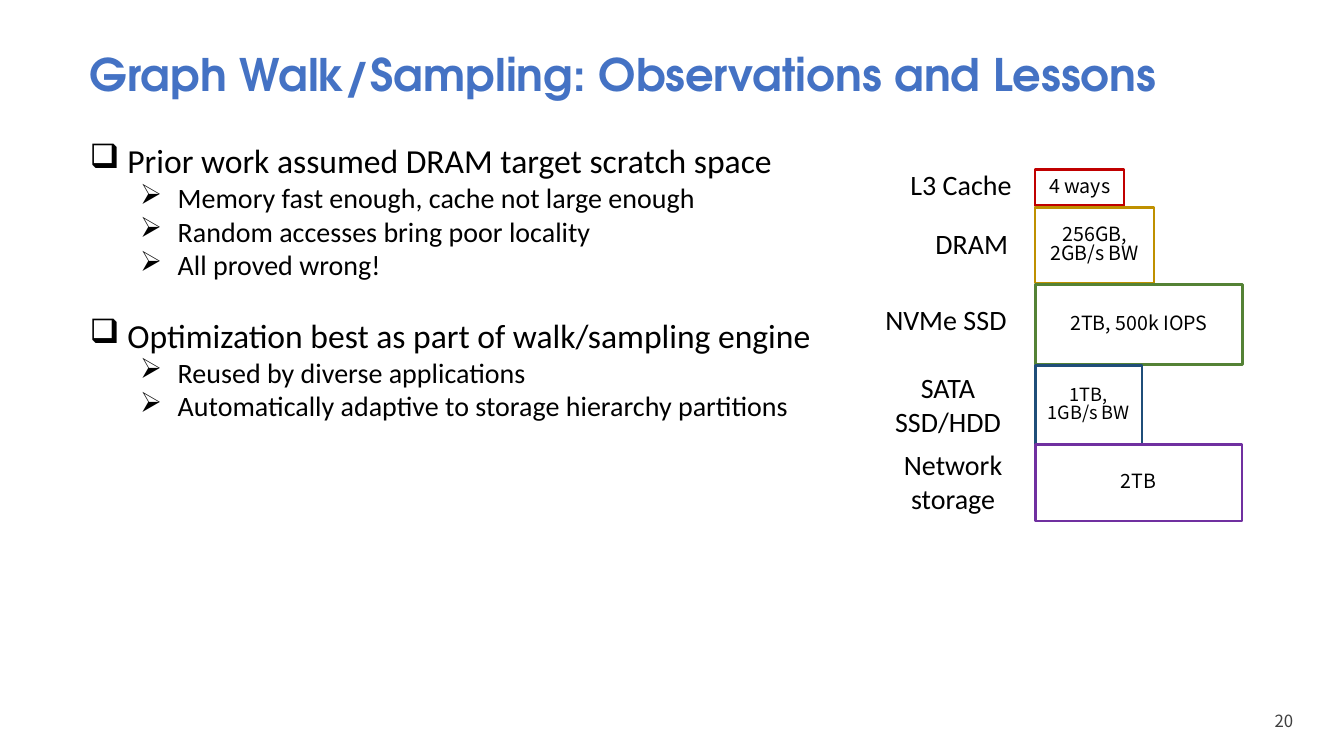
"""Build the slide on observations and lessons from graph walk and sampling."""
import dataclasses

import lxml.etree
import pptx
import pptx.dml.color
import pptx.enum.shapes
import pptx.enum.text
import pptx.oxml.ns
import pptx.util

Cm = pptx.util.Cm
Pt = pptx.util.Pt
Align = pptx.enum.text.PP_ALIGN
Anchor = pptx.enum.text.MSO_ANCHOR


@dataclasses.dataclass(frozen=True)
class Theme:
    title_font: str = "TeX Gyre Adventor"
    body_font: str = "Calibri"
    box_font: str = "Noto Sans CJK SC"
    title_color: str = "4472C4"
    text_color: str = "000000"
    number_color: str = "404040"
    fill_color: str = "FFFFFF"
    title_size: int = 32
    point_size: int = 24
    detail_size: int = 20
    number_size: int = 12
    box_line_spacing: float = 0.81


@dataclasses.dataclass(frozen=True)
class Area:
    left: float
    top: float
    width: float
    height: float

    def lengths(self) -> tuple:
        return tuple(map(Cm, (self.left, self.top, self.width, self.height)))


@dataclasses.dataclass(frozen=True)
class Point:
    text: str
    details: tuple


@dataclasses.dataclass(frozen=True)
class Tier:
    label: str
    label_area: Area
    capacity: str
    top: float
    width: float
    height: float
    color: str
    line_width: float = 2
    text_size: int = 14
    opacity: int = 72


THEME = Theme()
TIER_LEFT = 26.09
TITLE = "Graph Walk/Sampling: Observations and Lessons"
POINTS = (
    Point("Prior work assumed DRAM target scratch space", (
        "Memory fast enough, cache not large enough",
        "Random accesses bring poor locality",
        "All proved wrong!")),
    Point("Optimization best as part of walk/sampling engine", (
        "Reused by diverse applications",
        "Automatically adaptive to storage hierarchy partitions")),
)
TIERS = (
    Tier("L3 Cache", Area(22.2, 4.09, 4.04, 1.12), "4 ways",
         4.27, 2.24, 0.91, "C00000", line_width=1.75, opacity=61),
    Tier("DRAM", Area(22.89, 5.59, 3.2, 1.12), "256GB,\n2GB/s BW",
         5.23, 3, 1.9, "BF9000", line_width=1.75),
    Tier("NVMe SSD", Area(21.77, 7.49, 4.14, 1.12), "2TB, 500k IOPS",
         7.16, 5.23, 2.03, "548235"),
    Tier("SATA SSD/HDD", Area(21.82, 9.22, 4.14, 1.96), "1TB,\n1GB/s BW",
         9.22, 2.69, 1.98, "1F4E79", text_size=13),
    Tier("Network storage", Area(21.95, 11.15, 4.14, 1.96), "2TB",
         11.2, 5.21, 1.93, "7030A0"),
)


def rgb(color: str) -> pptx.dml.color.RGBColor:
    return pptx.dml.color.RGBColor.from_string(color)


def format_paragraph(para, font: str, size: float, color: str,
                     align: Align = Align.LEFT, bold: bool = False) -> None:
    para.alignment = align
    for span in para.runs:
        span.font.name = font
        span.font.size = Pt(size)
        span.font.color.rgb = rgb(color)
        span.font.bold = bold


def add_text_box(slide, area: Area, anchor: Anchor = Anchor.TOP):
    frame = slide.shapes.add_textbox(*area.lengths()).text_frame
    frame.word_wrap = True
    frame.vertical_anchor = anchor
    return frame


def add_title(slide) -> None:
    title = slide.shapes.title
    title.left, title.top, title.width, title.height = Area(2.01, 0.71, 29.21, 2.46).lengths()
    title.text_frame.text = TITLE
    title.text_frame.vertical_anchor = Anchor.MIDDLE
    para = title.text_frame.paragraphs[0]
    para.line_spacing = 0.9
    format_paragraph(para, THEME.title_font, THEME.title_size, THEME.title_color, bold=True)


def add_bulleted(frame, text: str, bullet: str, level: int, size: int, before: float = 0) -> None:
    para = frame.add_paragraph() if frame.text else frame.paragraphs[0]
    para.text = text
    para.level = level
    para.space_before = Pt(before)
    properties = para._p.get_or_add_pPr()
    properties.set("marL", str(Cm(0.95 + 1.27 * level)))
    properties.set("indent", str(Cm(-0.95)))
    mark = lxml.etree.SubElement(properties, pptx.oxml.ns.qn("a:buChar"))
    mark.set("char", bullet)
    format_paragraph(para, THEME.body_font, size, THEME.text_color)


def add_points(slide) -> None:
    frame = add_text_box(slide, Area(2.01, 3.41, 19.5, 7.6))
    for index, point in enumerate(POINTS):
        add_bulleted(frame, point.text, "❑", 0, THEME.point_size, 24 if index else 0)
        for detail in point.details:
            add_bulleted(frame, detail, "➢", 1, THEME.detail_size)


def add_tier(slide, tier: Tier) -> None:
    area = Area(TIER_LEFT, tier.top, tier.width, tier.height)
    box = slide.shapes.add_shape(pptx.enum.shapes.MSO_SHAPE.RECTANGLE, *area.lengths())
    box.shadow.inherit = False
    box.fill.solid()
    box.fill.fore_color.rgb = rgb(THEME.fill_color)
    fill_color = box._element.spPr.find(".//" + pptx.oxml.ns.qn("a:srgbClr"))
    alpha = lxml.etree.SubElement(fill_color, pptx.oxml.ns.qn("a:alpha"))
    alpha.set("val", str(tier.opacity * 1000))
    box.line.color.rgb = rgb(tier.color)
    box.line.width = Pt(tier.line_width)
    box.text_frame.text = tier.capacity
    box.text_frame.vertical_anchor = Anchor.MIDDLE
    for para in box.text_frame.paragraphs:
        para.line_spacing = THEME.box_line_spacing
        format_paragraph(para, THEME.box_font, tier.text_size, THEME.text_color, Align.CENTER)
    label = add_text_box(slide, tier.label_area)
    label.text = tier.label
    format_paragraph(label.paragraphs[0], THEME.body_font, THEME.detail_size,
                     THEME.text_color, Align.CENTER)


def add_page_number(slide) -> None:
    frame = add_text_box(slide, Area(25.22, 17.65, 7.62, 1.02), Anchor.MIDDLE)
    frame.text = "20"
    format_paragraph(frame.paragraphs[0], THEME.box_font, THEME.number_size,
                     THEME.number_color, Align.RIGHT)


def main() -> None:
    deck = pptx.Presentation()
    deck.slide_width, deck.slide_height = Cm(33.87), Cm(19.05)
    slide = deck.slides.add_slide(deck.slide_layouts.get_by_name("Title Only"))
    add_title(slide)
    add_points(slide)
    for tier in TIERS:
        add_tier(slide, tier)
    add_page_number(slide)
    deck.save("out.pptx")


if __name__ == "__main__":
    main()
